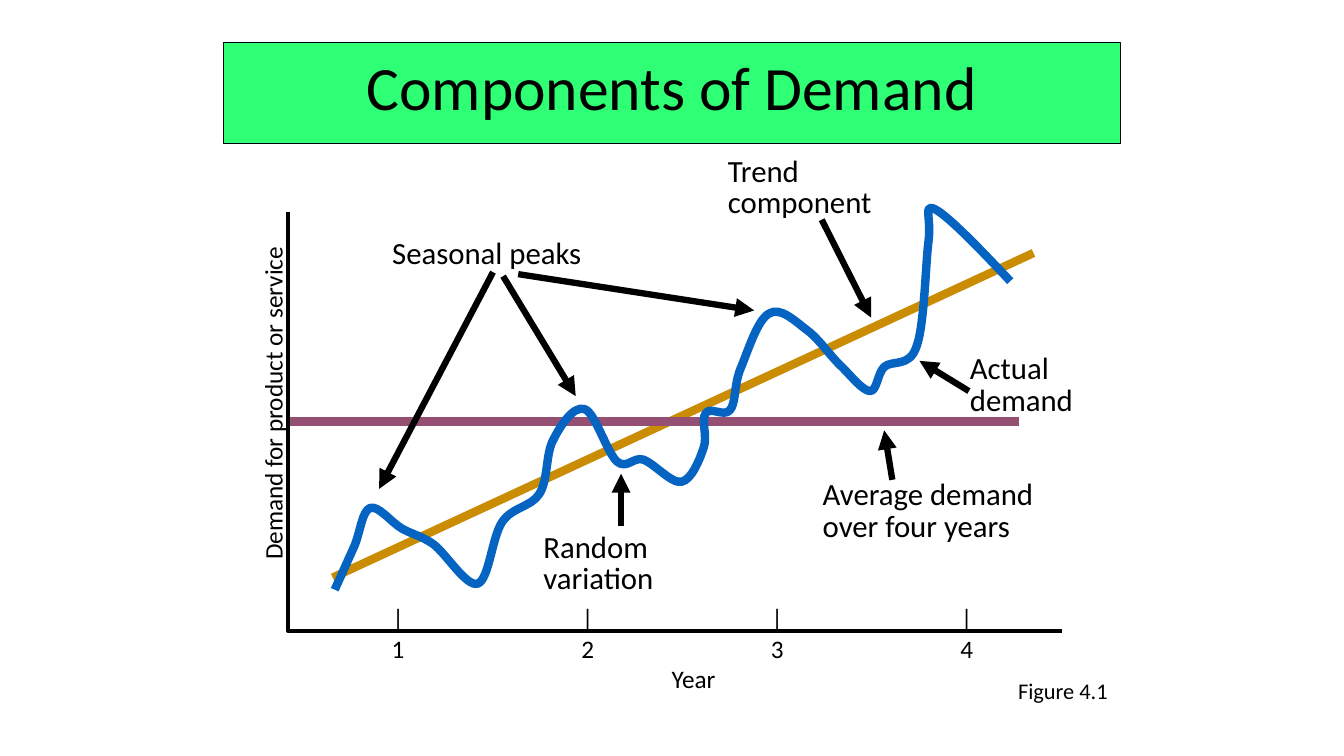
from lxml import etree
from pptx import Presentation
from pptx.dml.color import RGBColor
from pptx.enum.shapes import MSO_CONNECTOR
from pptx.enum.text import MSO_ANCHOR, MSO_AUTO_SIZE, PP_ALIGN
from pptx.oxml.ns import qn
from pptx.util import Inches, Pt

COLORS = {
    "ink": "000000",
    "banner": "2FFF74",
    "trend": "CA8C02",
    "average": "954F72",
    "demand": "0563C1",
}


class DemandSlide:
    font = "Calibri"

    def __init__(self, prs):
        self.slide = prs.slides.add_slide(prs.slide_layouts[5])
        self.shapes = self.slide.shapes

    def color(self, name):
        return RGBColor.from_string(COLORS[name])

    def stroke(self, shape, color, width):
        shape.line.color.rgb = self.color(color)
        shape.line.width = Pt(width)

    def style_text(self, paragraph, size, spacing=None):
        paragraph.font.name = self.font
        paragraph.font.size = Pt(size)
        paragraph.font.color.rgb = self.color("ink")
        if spacing:
            paragraph.line_spacing = spacing

    def title(self, text, left, top, width, height):
        title = self.shapes.title
        title.left, title.top = Inches(left), Inches(top)
        title.width, title.height = Inches(width), Inches(height)
        title.fill.solid()
        title.fill.fore_color.rgb = self.color("banner")
        self.stroke(title, "ink", 0.75)
        frame = title.text_frame
        frame.text = text
        frame.vertical_anchor = MSO_ANCHOR.MIDDLE
        frame.paragraphs[0].alignment = PP_ALIGN.CENTER
        self.style_text(frame.paragraphs[0], 44, 0.8)

    def text(self, text, left, top, width, height, size=22, spacing=None,
             wrap=True, inset=0.1, rotation=0):
        box = self.shapes.add_textbox(
            Inches(left), Inches(top), Inches(width), Inches(height))
        box.rotation = rotation
        frame = box.text_frame
        frame.text = text
        frame.word_wrap = wrap
        frame.auto_size = MSO_AUTO_SIZE.SHAPE_TO_FIT_TEXT
        frame.margin_left = frame.margin_right = Inches(inset)
        for paragraph in frame.paragraphs:
            self.style_text(paragraph, size, spacing)
        return frame

    def center_tabs(self, paragraph, stops):
        tabs = etree.Element(qn("a:tabLst"))
        for stop in stops:
            etree.SubElement(tabs, qn("a:tab"), pos=str(Inches(stop)), algn="ctr")
        properties = paragraph._p.get_or_add_pPr()
        defaults = properties.find(qn("a:defRPr"))
        if defaults is None:
            properties.append(tabs)
        else:
            defaults.addprevious(tabs)

    def line(self, start, end, color="ink", width=4.5, arrow=False):
        line = self.shapes.add_connector(
            MSO_CONNECTOR.STRAIGHT, *map(Inches, start + end))
        self.stroke(line, color, width)
        if arrow:
            etree.SubElement(line.line._get_or_add_ln(), qn("a:tailEnd"), type="triangle")
        etree.SubElement(line._element.spPr, qn("a:effectLst"))

    def outline(self, points, color, width):
        emu = [(Inches(x), Inches(y)) for x, y in points]
        builder = self.shapes.build_freeform(*emu[0])
        builder.add_line_segments(emu[1:], close=False)
        shape = builder.convert_to_shape()
        shape.shadow.inherit = False
        shape.fill.background()
        self.stroke(shape, color, width)
        return shape

    def curve(self, points, color, width):
        shape = self.outline(points, color, width)
        segments = list(shape._element.iter(qn("a:lnTo")))
        for i in range(0, len(segments), 3):
            bezier = etree.Element(qn("a:cubicBezTo"))
            segments[i].addprevious(bezier)
            for segment in segments[i:i + 3]:
                bezier.append(segment[0])
                segment.getparent().remove(segment)


prs = Presentation()
prs.slide_width, prs.slide_height = Inches(13.33), Inches(7.5)
page = DemandSlide(prs)

page.title("Components of Demand", 2.22, 0.42, 8.89, 1)
page.line((3.3, 5.73), (10.25, 2.51), "trend", 6)
page.line((2.84, 4.18), (10.11, 4.18), "average", 6)

page.text("Demand for product or service", 1.03, 3.78, 3.36, 0.41,
          size=18, wrap=False, inset=0.11, rotation=270)
page.outline([(2.86, 2.1), (2.86, 6.26), (10.53, 6.26)], "ink", 3)

year_stops = [0.41 + 1.88 * year for year in range(4)]
axis = page.text("\t|\t|\t|\t|\n\t1\t2\t3\t4\n\tYear", 3.44, 5.93, 6.69, 1, size=18)
for paragraph, stops in zip(axis.paragraphs, (year_stops, year_stops, [3.34])):
    page.center_tabs(paragraph, stops)

ACTUAL_DEMAND = [
    (3.32, 5.85),
    (3.39, 5.7), (3.45, 5.56), (3.51, 5.43),
    (3.57, 5.3), (3.59, 5.07), (3.67, 5.04),
    (3.75, 5.01), (3.88, 5.18), (3.98, 5.24),
    (4.08, 5.3), (4.17, 5.31), (4.3, 5.4),
    (4.43, 5.5), (4.63, 5.83), (4.74, 5.79),
    (4.85, 5.75), (4.88, 5.33), (4.98, 5.18),
    (5.08, 5.03), (5.27, 5.03), (5.35, 4.9),
    (5.44, 4.76), (5.41, 4.5), (5.49, 4.36),
    (5.56, 4.22), (5.69, 4.02), (5.8, 4.06),
    (5.9, 4.09), (6.02, 4.49), (6.12, 4.58),
    (6.22, 4.66), (6.28, 4.53), (6.38, 4.56),
    (6.49, 4.6), (6.66, 4.8), (6.76, 4.78),
    (6.86, 4.76), (6.94, 4.56), (6.98, 4.44),
    (7.02, 4.33), (6.95, 4.16), (7, 4.1),
    (7.04, 4.03), (7.18, 4.14), (7.24, 4.07),
    (7.3, 4), (7.28, 3.83), (7.34, 3.67),
    (7.41, 3.51), (7.51, 3.17), (7.63, 3.11),
    (7.74, 3.04), (7.89, 3.19), (8.01, 3.28),
    (8.13, 3.37), (8.24, 3.54), (8.35, 3.64),
    (8.45, 3.74), (8.56, 3.88), (8.63, 3.88),
    (8.7, 3.88), (8.7, 3.71), (8.77, 3.64),
    (8.85, 3.57), (9.02, 3.65), (9.09, 3.44),
    (9.17, 3.23), (9.18, 2.61), (9.21, 2.39),
    (9.24, 2.16), (9.15, 2.01), (9.28, 2.08),
    (9.41, 2.15), (9.72, 2.47), (10.02, 2.79),
]
page.curve(ACTUAL_DEMAND, "demand", 6)

CALLOUTS = [
    ("Average demand over four years", (8.05, 4.72, 2.32, 0.74), True,
     [((8.85, 4.76), (8.77, 4.27))]),
    ("Seasonal peaks", (3.78, 2.33, 2.12, 0.43), False,
     [((5.14, 2.72), (7.48, 3.08)),
      ((4.99, 2.74), (5.71, 3.93)),
      ((4.89, 2.7), (3.76, 4.85))]),
    ("Trend component", (7.11, 1.51, 2.15, 0.74), True,
     [((8.15, 2.18), (8.64, 3.15))]),
    ("Actual demand", (9.51, 3.47, 1.64, 0.74), True,
     [((9.61, 3.88), (9.12, 3.58))]),
    ("Random variation", (5.28, 5.24, 1.63, 0.74), True,
     [((6.16, 5.22), (6.16, 4.7))]),
]
for label, place, wrap, arrows in CALLOUTS:
    page.text(label, *place, spacing=0.85, wrap=wrap, inset=0.11)
    for start, end in arrows:
        page.line(start, end, arrow=True)

page.text("Figure 4.1", 10, 6.67, 1.1, 0.37, size=16, wrap=False)

prs.save("out.pptx")
